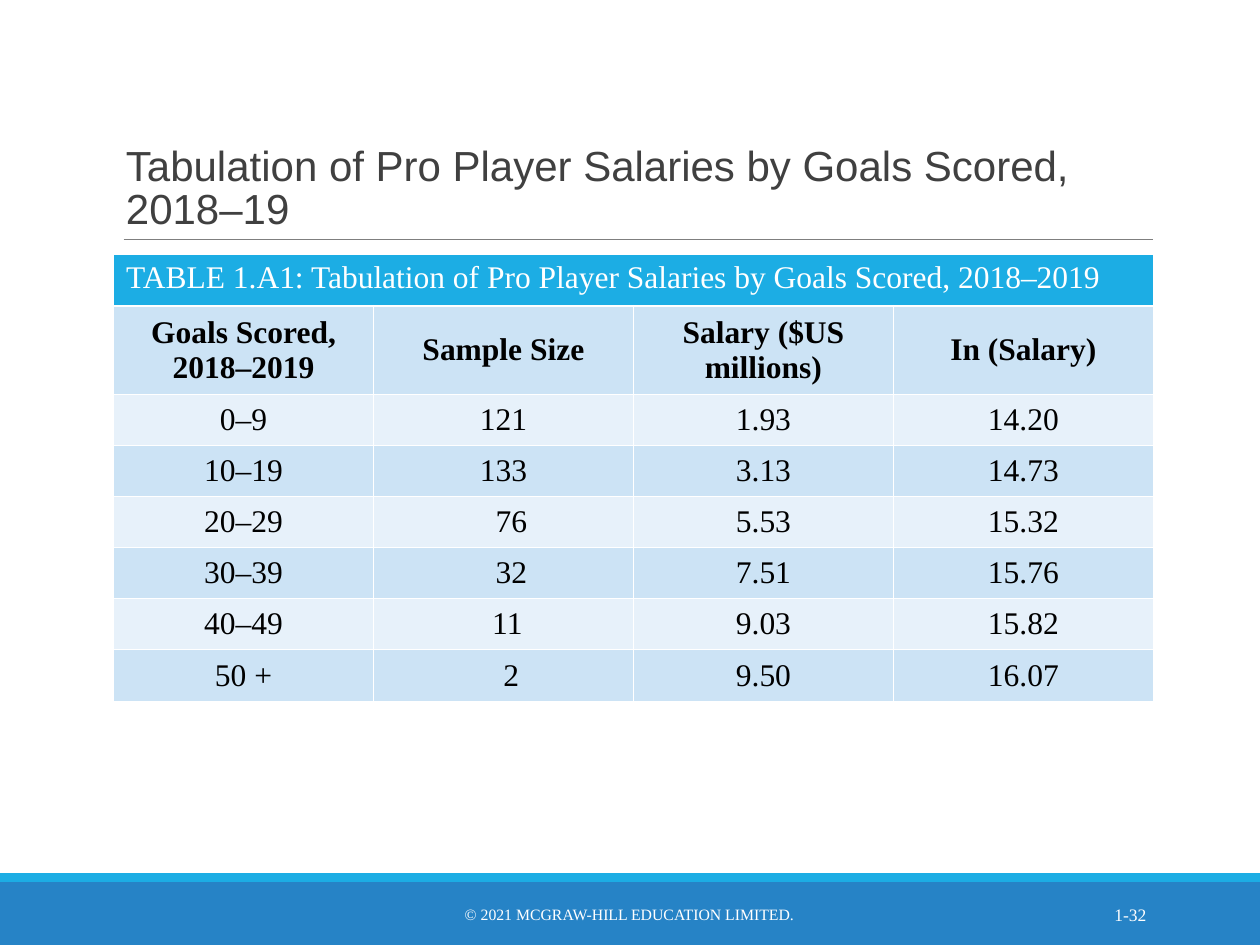
from lxml.etree import SubElement
from pptx import Presentation
from pptx.dml.color import RGBColor
from pptx.enum.shapes import MSO_CONNECTOR, MSO_SHAPE
from pptx.enum.text import MSO_ANCHOR as Anchor, PP_ALIGN as Align
from pptx.oxml.ns import qn
from pptx.util import Cm, Pt

SERIF = "Times New Roman"
WHITE, BLACK, GREY = "FFFFFF", "000000", "404040"
BLUE, SKY, BAND_DARK, BAND_LIGHT = "2683C6", "1CADE4", "CCE3F5", "E7F1FA"
SLIDE_WIDTH, SLIDE_HEIGHT = 25.4, 19.05

TITLE = "Tabulation of Pro Player Salaries by Goals Scored, 2018–19"
CAPTION = "TABLE 1.A1: Tabulation of Pro Player Salaries by Goals Scored, 2018–2019"
HEADINGS = ["Goals Scored, 2018–2019", "Sample Size", "Salary ($US millions)", "In (Salary)"]
SALARIES = [
    ["0–9", "121", "1.93", "14.20"],
    ["10–19", "133", "3.13", "14.73"],
    ["20–29", "76", "5.53", "15.32"],
    ["30–39", "32", "7.51", "15.76"],
    ["40–49", "11", "9.03", "15.82"],
    ["50 +", "2", "9.50", "16.07"],
]
SAMPLE_INDENTS = {"76": 0.32, "32": 0.32, "11": 0.16, "2": 0.32}


def color(hex_string):
    return RGBColor.from_string(hex_string)


def write(frame, text, size=18, font=SERIF, fill=BLACK, bold=False,
          align=Align.LEFT, line_spacing=None):
    frame.word_wrap = True
    paragraph = frame.paragraphs[0]
    paragraph.alignment = align
    if line_spacing:
        paragraph.line_spacing = line_spacing
    run = paragraph.add_run()
    run.text = text
    run.font.size = Pt(size)
    run.font.name = font
    run.font.bold = bold
    run.font.color.rgb = color(fill)


def add_text(slide, left, top, width, height, text, anchor=Anchor.MIDDLE, **text_format):
    shape = slide.shapes.add_textbox(Cm(left), Cm(top), Cm(width), Cm(height))
    shape.text_frame.vertical_anchor = anchor
    write(shape.text_frame, text, **text_format)


def add_bar(slide, left, top, width, height, fill):
    shape = slide.shapes.add_shape(MSO_SHAPE.RECTANGLE, Cm(left), Cm(top), Cm(width), Cm(height))
    shape.shadow.inherit = False
    shape.fill.solid()
    shape.fill.fore_color.rgb = color(fill)
    shape.line.fill.background()


def add_title(slide, left, top, width, height):
    bottom = top + height
    rule = slide.shapes.add_connector(MSO_CONNECTOR.STRAIGHT, Cm(left + 0.2), Cm(bottom),
                                      Cm(left + width), Cm(bottom))
    rule.line.color.rgb = color("7F7F7F")
    rule.line.width = Pt(0.5)
    SubElement(rule._element.spPr, qn("a:effectLst"))
    add_text(slide, left, top, width, height, TITLE, anchor=Anchor.BOTTOM,
             size=24, font="Arial", fill=GREY, line_spacing=0.85)


def set_borders(cell, **widths):
    """Draw white cell borders; widths in points are keyed by side: L, R, T, B."""
    properties = cell._tc.get_or_add_tcPr()
    for side, width in widths.items():
        line = SubElement(properties, qn(f"a:ln{side}"), w=str(Pt(width)))
        SubElement(SubElement(line, qn("a:solidFill")), qn("a:srgbClr"), val=WHITE)


def add_salary_table(slide, left, top, width, height):
    rows = [[CAPTION, "", "", ""], HEADINGS, *SALARIES]
    table = slide.shapes.add_table(len(rows), len(HEADINGS), Cm(left), Cm(top),
                                   Cm(width), Cm(height)).table
    caption_height, heading_height = 1.04, 1.77
    body_height = (height - caption_height - heading_height) / len(SALARIES)
    row_heights = [caption_height, heading_height] + [body_height] * len(SALARIES)
    for row, row_height in zip(table.rows, row_heights):
        row.height = Cm(row_height)
    for column in table.columns:
        column.width = Cm(width / len(HEADINGS))

    for row_index, values in enumerate(rows):
        is_caption = row_index == 0
        band = SKY if is_caption else BAND_DARK if row_index % 2 else BAND_LIGHT
        if row_index > 1:
            band = BAND_LIGHT if row_index % 2 == 0 else BAND_DARK
        for column_index, value in enumerate(values):
            cell = table.cell(row_index, column_index)
            set_borders(cell, L=0.45, R=0.45, T=1.47 if row_index == 1 else 0.45,
                        B=1.47 if is_caption else 0.45)
            cell.fill.solid()
            cell.fill.fore_color.rgb = color(band)
            cell.vertical_anchor = Anchor.TOP if is_caption else Anchor.MIDDLE
            if column_index == 1:
                cell.margin_left = Cm(0.25 + SAMPLE_INDENTS.get(value, 0))
            if value:
                write(cell.text_frame, value, bold=row_index == 1,
                      fill=WHITE if is_caption else BLACK,
                      align=Align.LEFT if is_caption else Align.CENTER)
    table.cell(0, 0).merge(table.cell(0, len(HEADINGS) - 1))


def add_footer(slide, left, top, width, height):
    stripe = 0.18
    add_bar(slide, left, top + stripe, width, height - stripe, BLUE)
    add_bar(slide, left, top, width, stripe, SKY)
    text_top = top + 0.33
    add_text(slide, left + 7.67, text_top, 10.03, 1.02,
             "© 2021 MCGRAW-HILL EDUCATION LIMITED.", size=9, fill=WHITE, align=Align.CENTER)
    add_text(slide, left + 20.62, text_top, 2.74, 1.02,
             "1-32", size=10, fill=WHITE, align=Align.RIGHT)


def main():
    presentation = Presentation()
    presentation.slide_width = Cm(SLIDE_WIDTH)
    presentation.slide_height = Cm(SLIDE_HEIGHT)
    slide = presentation.slides.add_slide(presentation.slide_layouts[6])
    add_footer(slide, 0, 17.6, SLIDE_WIDTH, 1.45)
    add_title(slide, 2.29, 0.79, 20.96, 4.04)
    add_salary_table(slide, 2.29, 5.13, 20.96, 8.99)
    presentation.save("out.pptx")


if __name__ == "__main__":
    main()
